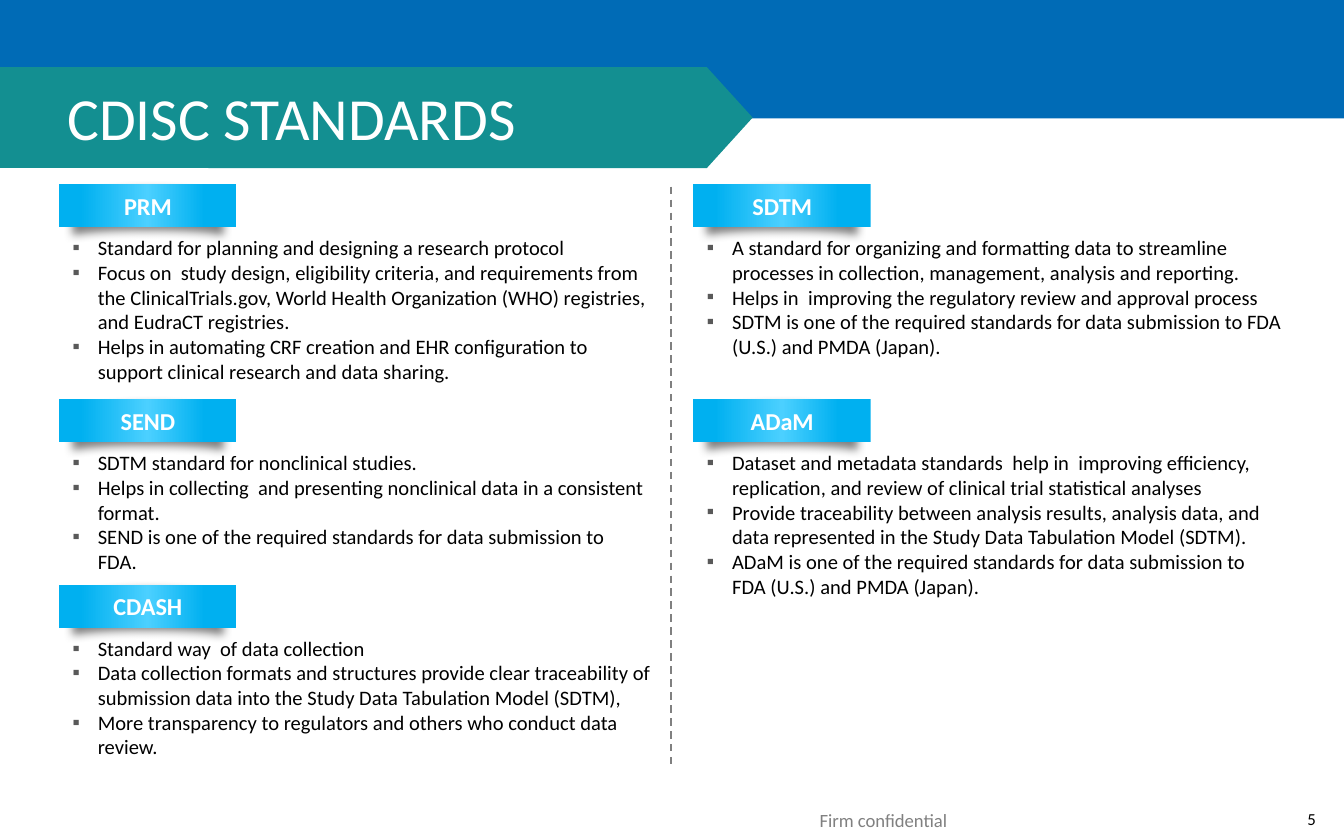
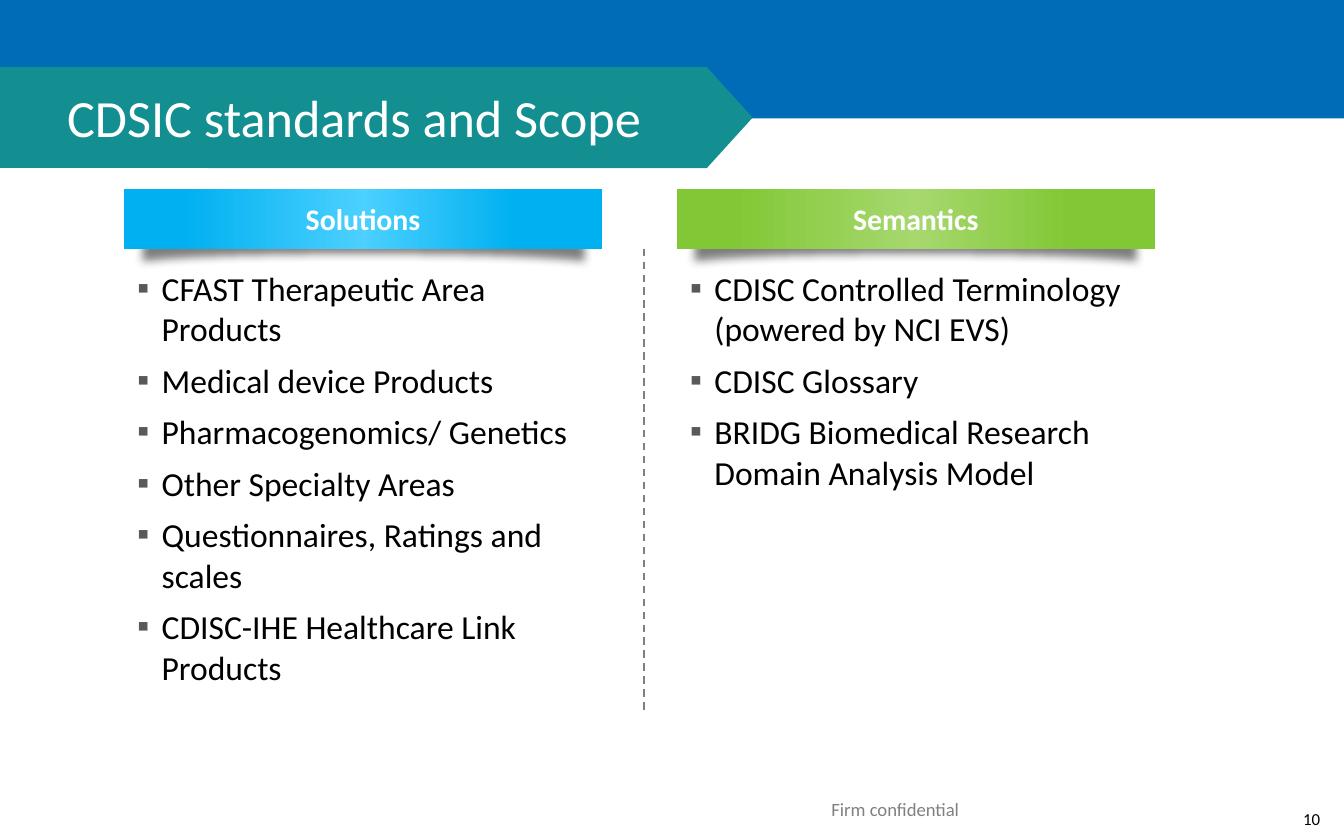
"""Build two slides on CDISC standards with shared bands, cards and footers."""
import copy
import dataclasses

import pptx
import pptx.dml.color
import pptx.enum.dml
import pptx.enum.shapes
import pptx.enum.text
import pptx.oxml
import pptx.oxml.ns
import pptx.util

Pt = pptx.util.Pt
qn = pptx.oxml.ns.qn
Kind = pptx.enum.shapes.MSO_SHAPE
Align = pptx.enum.text.PP_ALIGN
Anchor = pptx.enum.text.MSO_ANCHOR
Fit = pptx.enum.text.MSO_AUTO_SIZE

FONT = "Calibri"
HUES = {
    "band": "006BB6",
    "teal": "138F91",
    "white": "FFFFFF",
    "black": "000000",
    "gray": "808080",
    "mark": "595959",
    "sky": "00B0F0",
    "sky glow": "4BD0FF",
    "lime": "82C836",
    "lime glow": "A6D86E",
}
BODY = {
    "word_wrap": True,
    "auto_size": Fit.NONE,
    "vertical_anchor": Anchor.TOP,
}
TITLE = {
    "word_wrap": True,
    "auto_size": Fit.NONE,
    "vertical_anchor": Anchor.MIDDLE,
    "margin_left": Pt(36),
    "margin_right": 0,
    "margin_top": 0,
    "margin_bottom": 0,
}
FOOT = {"word_wrap": True, "margin_left": 0, "margin_top": 0}
NUMBER = {"word_wrap": True, "margin_left": 0, "margin_right": 0}


@dataclasses.dataclass
class Style:
    wide: float
    high: float
    head: float
    size: float
    indent: float
    drop: float
    space: float


@dataclasses.dataclass
class Card:
    name: str
    left: float
    top: float
    span: float
    deep: float
    items: list[str]
    tint: str = "sky"


@dataclasses.dataclass
class Page:
    title: str
    size: float
    number: str
    foot: tuple[float, float]
    rule: tuple[float, float, float]
    style: Style
    cards: list[Card]


SMALL = Style(95, 23, 13, 11, 13.5, 0.8, 0)
LARGE = Style(256.3, 32.4, 16, 18, 13, 6.5, 6)
COLS = (31.7, 371.5)
ROWS = (98.6, 213.8, 313.2)
PAGES = [
    Page("CDISC STANDARDS", 32, "5", (365.8, 433.4), (359.3, 100, 411), SMALL, [
        Card("PRM", COLS[0], ROWS[0], 322.6, 87, [
            "Standard for planning and designing a research protocol",
            "Focus on  study design, eligibility criteria, and requirements from the "
            "ClinicalTrials.gov, World Health Organization (WHO) registries, and EudraCT registries.",
            "Helps in automating CRF creation and EHR configuration to support clinical "
            "research and data sharing.",
        ]),
        Card("SEND", COLS[0], ROWS[1], 322.6, 74, [
            "SDTM standard for nonclinical studies.",
            "Helps in collecting  and presenting nonclinical data in a consistent format.",
            "SEND is one of the required standards for data submission to FDA.",
        ]),
        Card("CDASH", COLS[0], ROWS[2], 334, 74, [
            "Standard way  of data collection",
            "Data collection formats and structures provide clear traceability of "
            "submission data into the Study Data Tabulation Model (SDTM),",
            "More transparency to regulators and others who conduct data review.",
        ]),
        Card("SDTM", COLS[1], ROWS[0], 322.6, 74, [
            "A standard for organizing and formatting data to streamline processes in "
            "collection, management, analysis and reporting.",
            "Helps in  improving the regulatory review and approval process",
            "SDTM is one of the required standards for data submission to FDA (U.S.) "
            "and PMDA (Japan).",
        ]),
        Card("ADaM", COLS[1], ROWS[1], 322.6, 87, [
            "Dataset and metadata standards  help in  improving efficiency, replication, "
            "and review of clinical trial statistical analyses",
            "Provide traceability between analysis results, analysis data, and data "
            "represented in the Study Data Tabulation Model (SDTM).",
            "ADaM is one of the required standards for data submission to FDA (U.S.) "
            "and PMDA (Japan).",
        ]),
    ]),
    Page("CDSIC standards and Scope", 28, "10", (372.2, 427.7), (344.9, 133.2, 381.6), LARGE, [
        Card("Solutions", 66.4, 101, 252.7, 234, [
            "CFAST Therapeutic Area Products",
            "Medical device Products",
            "Pharmacogenomics/ Genetics",
            "Other Specialty Areas",
            "Questionnaires, Ratings and scales",
            "CDISC-IHE Healthcare Link Products",
        ]),
        Card("Semantics", 362.5, 101, 252.7, 128, [
            "CDISC Controlled Terminology (powered by NCI EVS)",
            "CDISC Glossary",
            "BRIDG Biomedical Research Domain Analysis Model",
        ], "lime"),
    ]),
]


def hue(name: str) -> pptx.dml.color.RGBColor:
    return pptx.dml.color.RGBColor.from_string(HUES[name])


def put(thing: object, values: dict) -> None:
    for key, value in values.items():
        setattr(thing, key, value)


def place(shape, left: float, top: float, wide: float, high: float) -> None:
    put(shape, {"left": Pt(left), "top": Pt(top), "width": Pt(wide), "height": Pt(high)})


def write(para, text: str, size: float, ink: str, align=Align.LEFT, bold: bool = False) -> None:
    put(para, {"alignment": align, "space_before": Pt(0)})
    run = para.add_run()
    run.text = text
    put(run.font, {"name": FONT, "size": Pt(size), "bold": bold})
    run.font.color.rgb = hue(ink)


def label(page, text: str, box: tuple, size: float, ink: str, frame: dict):
    shape = page.shapes.add_textbox(*map(Pt, box))
    put(shape.text_frame, frame)
    para = shape.text_frame.paragraphs[0]
    write(para, text, size, ink, Align.CENTER)
    return para


def paint(shape, ink: str):
    shape.shadow.inherit = False
    shape.fill.solid()
    shape.fill.fore_color.rgb = hue(ink)
    shape.line.fill.background()
    return shape


def block(page, kind, box: tuple, ink: str):
    return paint(page.shapes.add_shape(kind, *map(Pt, box)), ink)


def glow(shape, tint: str) -> None:
    shape.fill.gradient()
    stops = shape.element.spPr.find(".//" + qn("a:gsLst"))
    stops.insert(1, copy.deepcopy(stops[0]))
    shape.fill.gradient_angle = 180
    marks = ((0.18, tint), (0.5, tint + " glow"), (0.88, tint))
    for stop, (spot, ink) in zip(shape.fill.gradient_stops, marks):
        stop.position = spot
        stop.color.rgb = hue(ink)


def shade(page, card: Card, style: Style) -> None:
    wide, high = 38, style.wide * 0.957
    mid, low = card.left + style.wide / 2, card.top + style.high - 6
    box = (mid - wide / 2, low - high / 2, wide, high)
    shape = block(page, Kind.FLOWCHART_STORED_DATA, box, "gray")
    shape.rotation = 90
    effect = shape.element.spPr.find(qn("a:effectLst"))
    edge = effect.makeelement(qn("a:softEdge"), {"rad": str(Pt(5))})
    effect.append(edge)


def bullet(para, indent: float) -> None:
    props = para._p.get_or_add_pPr()
    put_at = {"marL": str(Pt(indent)), "indent": str(-Pt(indent))}
    for key, value in put_at.items():
        props.set(key, value)
    color = props.makeelement(qn("a:buClr"), {})
    color.append(props.makeelement(qn("a:srgbClr"), {"val": HUES["mark"]}))
    props.append(color)
    props.append(props.makeelement(qn("a:buFont"), {"typeface": FONT}))
    props.append(props.makeelement(qn("a:buChar"), {"char": "▪"}))


def draw_card(page, body, card: Card, style: Style) -> None:
    shade(page, card, style)
    head = block(page, Kind.RECTANGLE, (card.left, card.top, style.wide, style.high), card.tint)
    glow(head, card.tint)
    head.text_frame.vertical_anchor = Anchor.MIDDLE
    write(head.text_frame.paragraphs[0], card.name, style.head, "white", Align.CENTER, True)
    place(body, card.left, card.top + style.high + style.drop, card.span, card.deep)
    page.shapes.element.append(body.element)
    frame = body.text_frame
    put(frame, BODY)
    for row, item in enumerate(card.items):
        para = frame.add_paragraph() if row else frame.paragraphs[0]
        bullet(para, style.indent)
        write(para, item, style.size, "black")
        para.space_before = Pt(style.space if row else 0)


def draw_rule(page, x: float, top: float, end: float) -> None:
    rule = page.shapes.add_connector(
        pptx.enum.shapes.MSO_CONNECTOR.STRAIGHT, Pt(x), Pt(top), Pt(x), Pt(end))
    put(rule.line, {"width": Pt(1), "dash_style": pptx.enum.dml.MSO_LINE.DASH})
    rule.line.color.rgb = hue("gray")
    props = rule.element.spPr
    props.append(props.makeelement(qn("a:effectLst"), {}))


def add_bands(page, layout) -> None:
    top = block(page, Kind.RECTANGLE, (0, 0, 720, 63.4), "band")
    tab = block(page, Kind.RECTANGLE, (0, 36, 177, 54), "teal")
    pen = page.shapes.build_freeform(Pt(378.7), Pt(36), 1.0)
    points = ((403.2, 63), (378.7, 90), (111.6, 90), (111.6, 36))
    pen.add_line_segments([(Pt(x), Pt(y)) for x, y in points], close=True)
    arrow = paint(pen.convert_to_shape(), "teal")
    for step, shape in enumerate((top, tab, arrow)):
        shape.element.nvSpPr.cNvPr.set("id", str(100 + step))
        layout.shapes.element.insert(2 + step, shape.element)


def add_slots(layout, count: int) -> None:
    base = next(slot for slot in layout.placeholders if slot.placeholder_format.idx == 1)
    for step in range(count):
        twin = copy.deepcopy(base.element)
        twin.nvSpPr.cNvPr.set("id", str(50 + step))
        twin.find(".//" + qn("p:ph")).set("idx", str(20 + step))
        layout.shapes.element.append(twin)


def draw_page(page, data: Page) -> None:
    title = page.shapes.title
    place(title, 0, 35.5, 403.2, 54)
    put(title.text_frame, TITLE)
    write(title.text_frame.paragraphs[0], data.title, data.size, "white")
    slots = [slot for slot in page.placeholders if slot.placeholder_format.idx]
    for slot, card in zip(slots, data.cards):
        draw_card(page, slot, card, data.style)
    for slot in slots[len(data.cards):]:
        slot.element.getparent().remove(slot.element)
    draw_rule(page, *data.rule)
    foot = label(page, "Firm confidential", (*data.foot, 221.8, 16.6), 10, "gray", FOOT)
    foot.space_after = Pt(6)
    label(page, data.number, (688.3, 429.8, 28.8, 18), 9, "black", NUMBER)


def main() -> None:
    deck = pptx.Presentation()
    put(deck, {"slide_width": Pt(720), "slide_height": Pt(450)})
    layout = deck.slide_layouts[3]
    add_slots(layout, 3)
    pages = [deck.slides.add_slide(layout) for _ in PAGES]
    add_bands(pages[0], layout)
    for page, data in zip(pages, PAGES):
        draw_page(page, data)
    deck.save("out.pptx")


if __name__ == "__main__":
    main()
